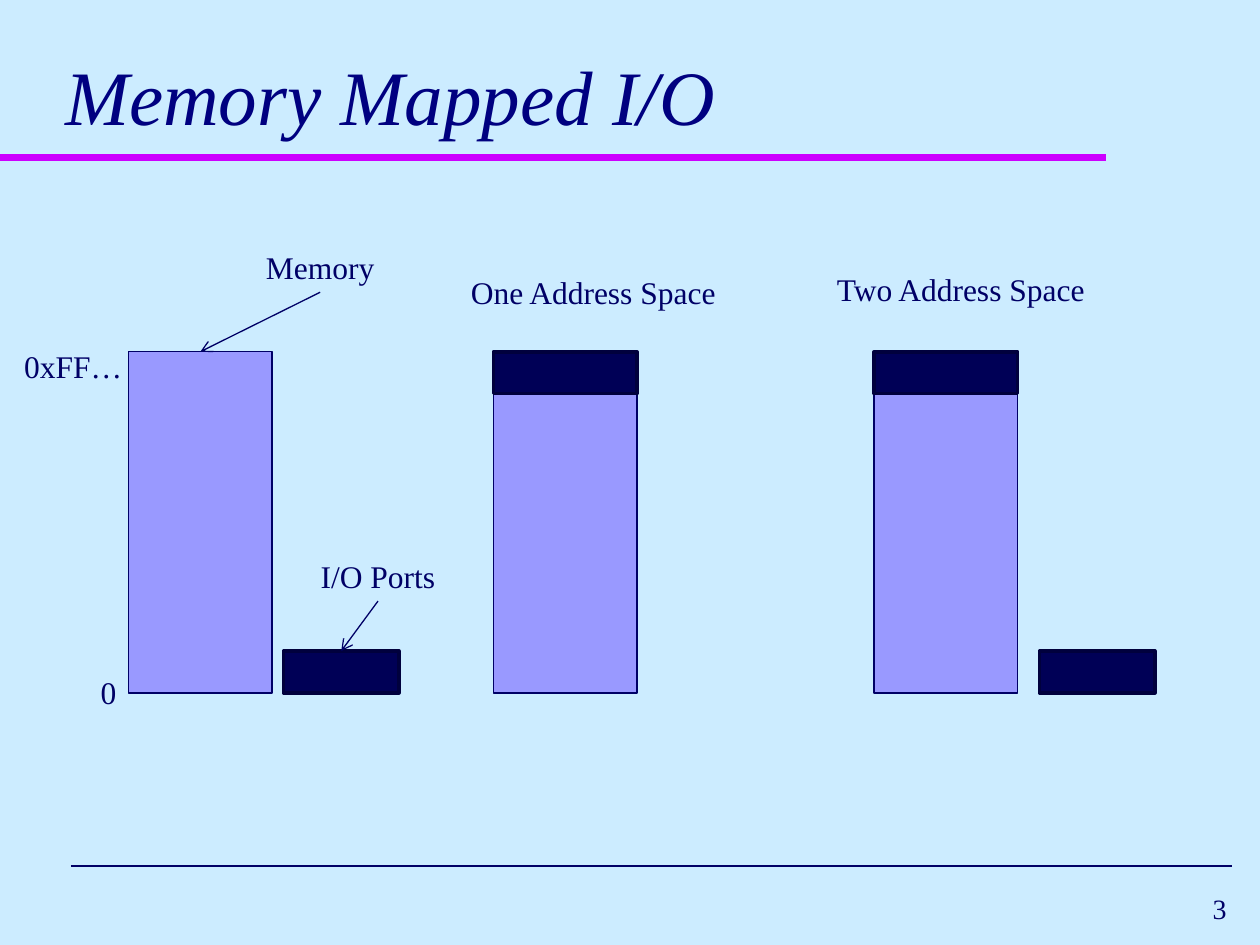
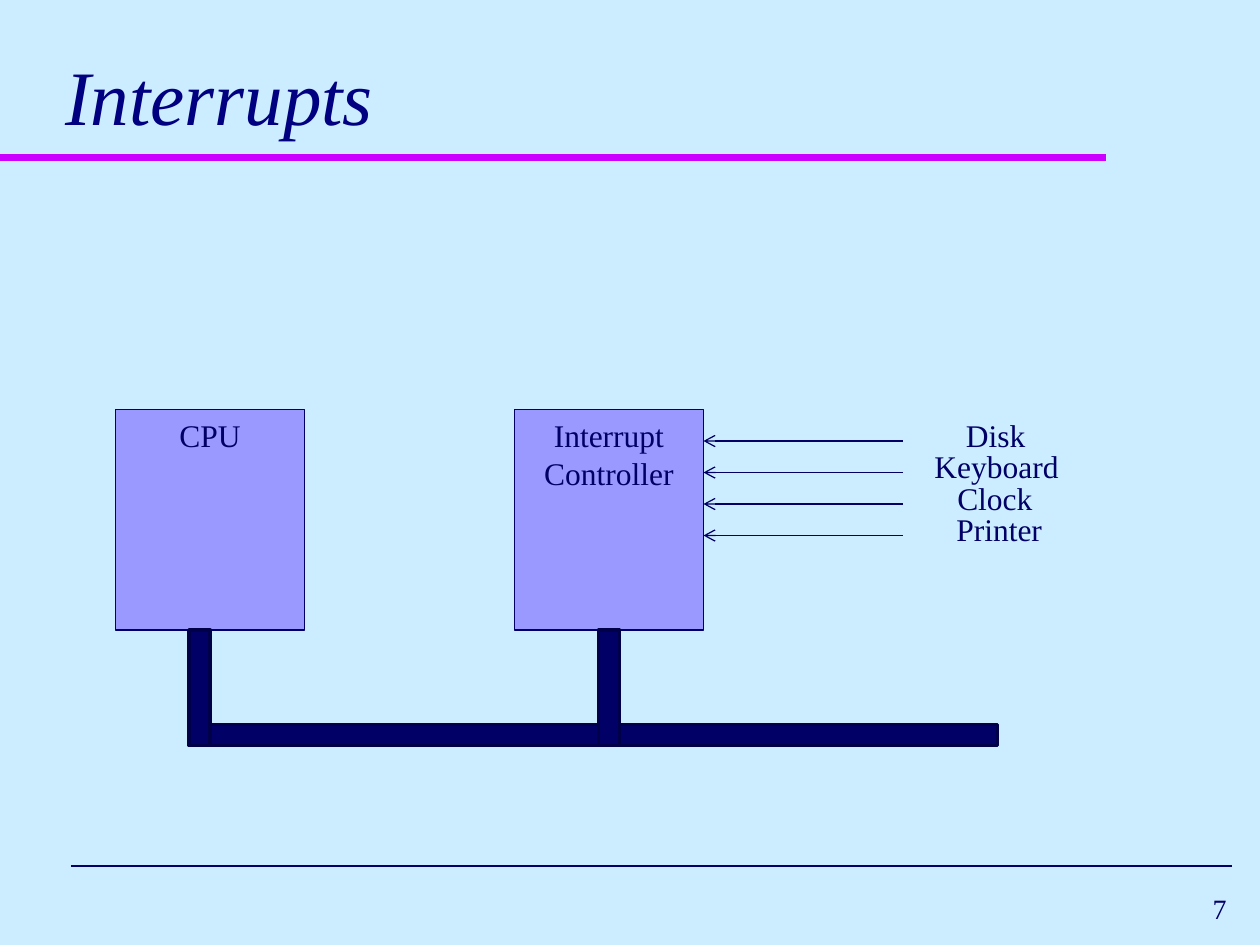
from dataclasses import dataclass

from lxml import etree
from pptx import Presentation
from pptx.dml.color import RGBColor
from pptx.enum.shapes import MSO_CONNECTOR, MSO_SHAPE
from pptx.enum.text import MSO_ANCHOR, MSO_AUTO_SIZE, PP_ALIGN
from pptx.oxml.ns import qn
from pptx.presentation import Presentation as Deck
from pptx.slide import Slide
from pptx.text.text import TextFrame
from pptx.util import Pt

STRAIGHT = MSO_CONNECTOR.STRAIGHT
RECTANGLE = MSO_SHAPE.RECTANGLE
TOP, MIDDLE, BOTTOM = MSO_ANCHOR.TOP, MSO_ANCHOR.MIDDLE, MSO_ANCHOR.BOTTOM
LEFT, CENTER, RIGHT = PP_ALIGN.LEFT, PP_ALIGN.CENTER, PP_ALIGN.RIGHT
NO_AUTOFIT = MSO_AUTO_SIZE.NONE
TITLE_ONLY = 5

FONT = "Times New Roman"
BACKGROUND = "CCECFF"
NAVY = "000066"
TITLE_BLUE = "000080"
MAGENTA = "CC00FF"
LABEL_HEIGHT = 29


@dataclass(frozen=True)
class BoxStyle:
    fill: str
    border: str
    weight: float


@dataclass(frozen=True)
class TextStyle:
    size: float = 18
    color: str = NAVY
    italic: bool = False
    align: PP_ALIGN = CENTER
    anchor: MSO_ANCHOR = TOP
    wrap: bool = True


@dataclass(frozen=True)
class Box:
    left: float
    top: float
    width: float
    height: float
    style: BoxStyle
    text: str = ""


@dataclass(frozen=True)
class Label:
    text: str
    left: float
    top: float
    width: float


@dataclass(frozen=True)
class Line:
    x1: float
    y1: float
    x2: float
    y2: float
    color: str = NAVY
    weight: float = 0.75
    arrow: bool = True


BLOCK = BoxStyle("9999FF", NAVY, 0.75)
PORTS = BoxStyle("000056", "00003D", 2)
BUS = BoxStyle(NAVY, "000049", 2)

BODY_TEXT = TextStyle()
LABEL_TEXT = TextStyle(wrap=False)
TITLE_TEXT = TextStyle(44, TITLE_BLUE, True, LEFT, BOTTOM)
NUMBER_TEXT = TextStyle(16, align=RIGHT, anchor=MIDDLE)

TITLE_RULE = Line(0, 90, 632, 90, MAGENTA, 4, arrow=False)
FOOTER_RULE = Line(40.5, 495, 704, 495, NAVY, 1, arrow=False)


def rgb(color: str) -> RGBColor:
    return RGBColor.from_string(color)


def write(frame: TextFrame, text: str, style: TextStyle) -> None:
    frame.text = text
    frame_format = {
        "word_wrap": style.wrap,
        "auto_size": NO_AUTOFIT,
        "vertical_anchor": style.anchor,
    }
    for name, value in frame_format.items():
        setattr(frame, name, value)
    font_format = {"name": FONT, "size": Pt(style.size), "italic": style.italic}
    for paragraph in frame.paragraphs:
        paragraph.alignment = style.align
        for name, value in font_format.items():
            setattr(paragraph.font, name, value)
        paragraph.font.color.rgb = rgb(style.color)


def add_text(slide: Slide, label: Label, style: TextStyle = LABEL_TEXT,
             height: float = LABEL_HEIGHT) -> None:
    textbox = slide.shapes.add_textbox(
        Pt(label.left), Pt(label.top), Pt(label.width), Pt(height))
    write(textbox.text_frame, label.text, style)


def add_box(slide: Slide, box: Box) -> None:
    shape = slide.shapes.add_shape(
        RECTANGLE, Pt(box.left), Pt(box.top), Pt(box.width), Pt(box.height))
    shape.shadow.inherit = False
    shape.fill.solid()
    shape.fill.fore_color.rgb = rgb(box.style.fill)
    shape.line.color.rgb = rgb(box.style.border)
    shape.line.width = Pt(box.style.weight)
    if box.text:
        write(shape.text_frame, box.text, BODY_TEXT)


def add_line(slide: Slide, line: Line) -> None:
    connector = slide.shapes.add_connector(
        STRAIGHT, Pt(line.x1), Pt(line.y1), Pt(line.x2), Pt(line.y2))
    connector.line.color.rgb = rgb(line.color)
    connector.line.width = Pt(line.weight)
    properties = connector._element.spPr
    if line.arrow:
        outline = properties.find(qn("a:ln"))
        etree.SubElement(outline, qn("a:tailEnd"), type="arrow")
    etree.SubElement(properties, qn("a:effectLst"))


def add_slide(deck: Deck, title: str, number: int) -> Slide:
    """Add a slide with its title, the two rules and the page number."""
    slide = deck.slides.add_slide(deck.slide_layouts[TITLE_ONLY])
    for rule in (TITLE_RULE, FOOTER_RULE):
        add_line(slide, rule)
    heading = slide.shapes.title
    place = {"left": 30, "top": 12, "width": 666, "height": 72}
    for name, value in place.items():
        setattr(heading, name, Pt(value))
    write(heading.text_frame, title, TITLE_TEXT)
    add_text(slide, Label(str(number), 558, 504, 150), NUMBER_TEXT, 30)
    return slide


def draw(slide: Slide, boxes: list[Box], lines: list[Line],
         labels: list[Label]) -> None:
    for box in boxes:
        add_box(slide, box)
    for line in lines:
        add_line(slide, line)
    for label in labels:
        add_text(slide, label)


def build_memory_map(deck: Deck) -> None:
    memory_top, memory_width, memory_height = 201, 82, 195
    ports_width, ports_height = 66, 24
    ports_top = memory_top + memory_height - ports_height
    separate, one_space, two_spaces = 73.5, 282, 499.5

    boxes = [Box(left, memory_top, memory_width, memory_height, BLOCK)
             for left in (separate, one_space, two_spaces)]
    boxes += [Box(left, memory_top, memory_width, ports_height, PORTS)
              for left in (one_space, two_spaces)]
    boxes += [Box(left, ports_top, ports_width, ports_height, PORTS)
              for left in (162, 594)]
    arrows = [
        Line(183, 167, separate + memory_width / 2, memory_top),
        Line(216, 343.5, 162 + ports_width / 2, ports_top),
    ]
    labels = [
        Label("0", 50.5, 381, 23),
        Label("0xFF…", 6.5, 194.5, 70.5),
        Label("Memory", 138, 138, 90),
        Label("I/O Ports", 165, 314.5, 102),
        Label("One Address Space", 258, 152.5, 162),
        Label("Two Address Space", 468, 151, 162),
    ]
    draw(add_slide(deck, "Memory Mapped I/O", 3), boxes, arrows, labels)


def build_interrupts(deck: Deck) -> None:
    chip_top, chip_width, chip_height = 234, 108, 126
    chip_bottom = chip_top + chip_height
    cpu_left, controller_left = 66, 294
    bus_thickness, riser_height = 12, 66
    cpu_riser, controller_riser = 108, 342
    bus_top = chip_bottom + riser_height - bus_thickness
    device_pitch = 18

    boxes = [
        Box(left, chip_top, chip_width, chip_height, BLOCK, text)
        for left, text in ((cpu_left, "CPU"),
                           (controller_left, "Interrupt\nController"))
    ]
    boxes.append(Box(cpu_riser + bus_thickness, bus_top, 450, bus_thickness, BUS))
    boxes += [Box(left, chip_bottom, bus_thickness, riser_height, BUS)
              for left in (cpu_riser, controller_riser)]

    devices = (("Disk", 545, 48), ("Keyboard", 527, 85),
               ("Clock", 540, 57), ("Printer", 539.5, 63))
    arrows, labels = [], []
    for row, (device, left, width) in enumerate(devices):
        label_top = chip_top + row * device_pitch
        signal_y = label_top + device_pitch
        arrows.append(Line(516, signal_y, controller_left + chip_width, signal_y))
        labels.append(Label(device, left, label_top, width))
    draw(add_slide(deck, "Interrupts", 7), boxes, arrows, labels)


def main() -> None:
    deck = Presentation()
    deck.slide_width, deck.slide_height = Pt(720), Pt(540)
    backdrop = deck.slide_master.background.fill
    backdrop.solid()
    backdrop.fore_color.rgb = rgb(BACKGROUND)
    build_memory_map(deck)
    build_interrupts(deck)
    deck.save("out.pptx")


if __name__ == "__main__":
    main()
